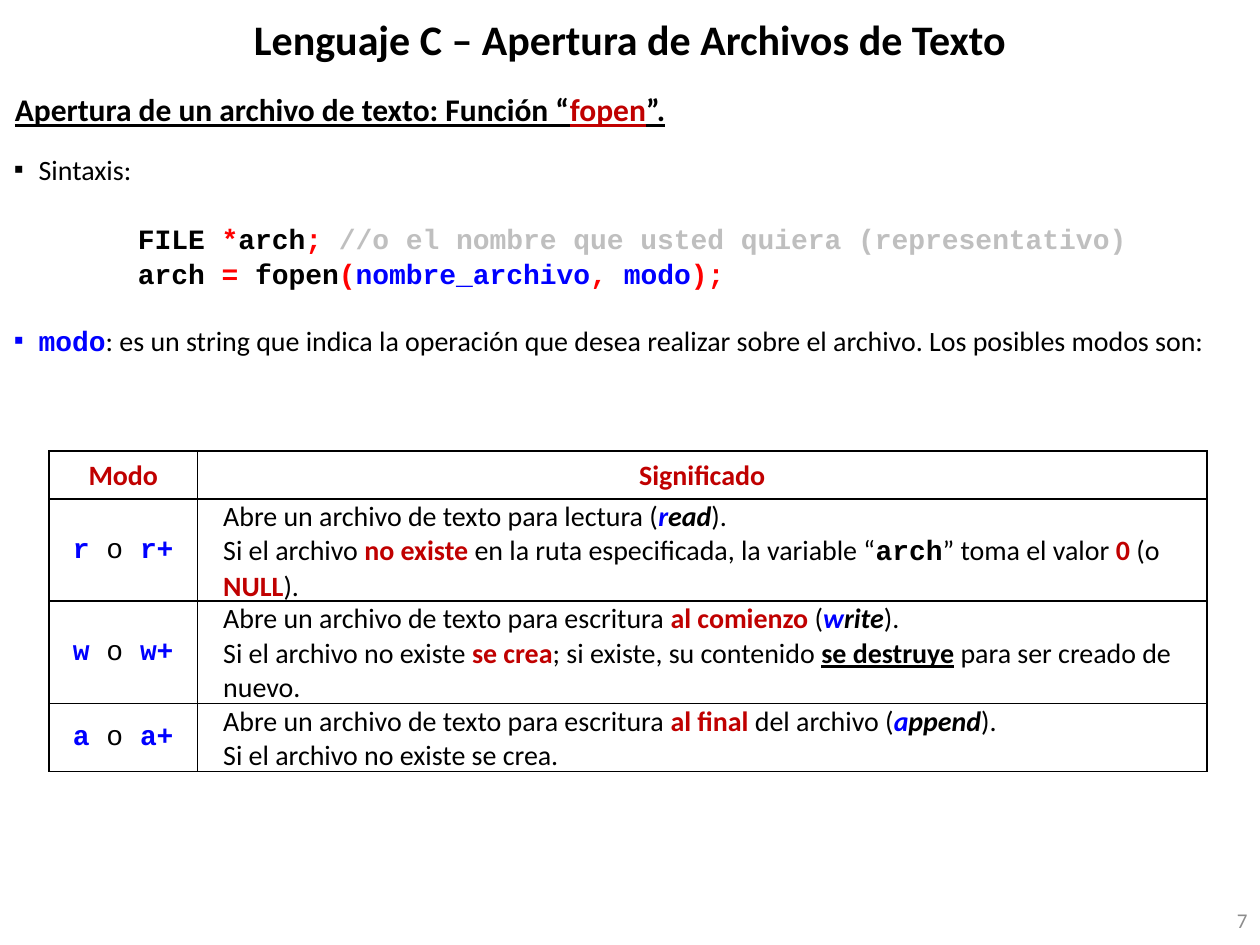
from lxml.etree import SubElement
from pptx import Presentation
from pptx.dml.color import RGBColor as RGB
from pptx.enum.text import MSO_ANCHOR as Anchor, MSO_AUTO_SIZE as AutoSize, PP_ALIGN as Align
from pptx.oxml.ns import qn
from pptx.util import Cm, Pt

THEME = {
    "font": "Calibri", "mono": "Courier New",
    "title": 24, "heading": 18, "body": 16, "number": 12,
    "black": "000000", "crimson": "C00000", "red": "FF0000",
    "blue": "0000FF", "silver": "BFBFBF", "gray": "8C8C8C",
}
MONO = {"font": "mono", "bold": True}
STYLES = {
    "plain": {},
    "key": {"color": "crimson", "bold": True},
    "initial": {"color": "blue", "bold": True, "italic": True},
    "rest": {"bold": True, "italic": True},
    "underlined": {"bold": True, "underline": True},
    "code": MONO,
    "operator": {**MONO, "color": "red"},
    "comment": {**MONO, "color": "silver"},
    "argument": {**MONO, "color": "blue"},
    "or": {"font": "mono"},
    "title": {"size": "title", "bold": True},
    "heading": {"size": "heading", "bold": True, "underline": True},
    "function": {"size": "heading", "bold": True, "underline": True, "color": "crimson"},
    "number": {"size": "number", "color": "gray"},
}

TITLE = [("Lenguaje C – Apertura de Archivos de Texto", "title")]
HEADING = [("Apertura de un archivo de texto: Función “", "heading"),
           ("fopen", "function"), ("”.", "heading")]
BULLET = {"align": Align.JUSTIFY, "indent": 0.5, "bullet": "▪"}
CODE = {"indent": 2.5}
SYNTAX = [
    ([("Sintaxis:", "plain")], BULLET),
    ([("FILE ", "code"), ("*", "operator"), ("arch", "code"), ("; ", "operator"),
      ("//o el nombre que usted quiera (representativo)", "comment")], {**CODE, "before": 20}),
    ([("arch ", "code"), ("= ", "operator"), ("fopen", "code"), ("(", "operator"),
      ("nombre_archivo", "argument"), (", ", "operator"), ("modo", "argument"),
      (");", "operator")], {**CODE, "before": 1}),
    ([("modo", "argument"),
      (": es un string que indica la operación que desea realizar sobre el archivo. "
       "Los posibles modos son:", "plain")], {**BULLET, "before": 19}),
]
HEADERS = ["Modo", "Significado"]
MODES = [
    ("r", [
        [("Abre un archivo de texto para lectura (", "plain"), ("r", "initial"),
         ("ead", "rest"), (").", "plain")],
        [("Si el archivo ", "plain"), ("no existe", "key"),
         (" en la ruta especificada, la variable “", "plain"), ("arch", "code"),
         ("” toma el valor ", "plain"), ("0", "key"), (" (o ", "plain"),
         ("NULL", "key"), (").", "plain")],
    ]),
    ("w", [
        [("Abre un archivo de texto para escritura ", "plain"), ("al comienzo", "key"),
         (" (", "plain"), ("w", "initial"), ("rite", "rest"), (").", "plain")],
        [("Si el archivo no existe ", "plain"), ("se crea", "key"),
         ("; si existe, su contenido ", "plain"), ("se destruye", "underlined"),
         (" para ser creado de nuevo.", "plain")],
    ]),
    ("a", [
        [("Abre un archivo de texto para escritura ", "plain"), ("al final", "key"),
         (" del archivo (", "plain"), ("a", "initial"), ("ppend", "rest"), (").", "plain")],
        [("Si el archivo no existe se crea.", "plain")],
    ]),
]
COLUMNS = [2.99, 20.35]
ROWS = [0.97, 2.06, 2.06, 1.37]


def add_run(p, text, font="font", size="body", color="black",
            bold=False, italic=False, underline=False):
    r = p.add_run()
    r.text = text
    f = r.font
    f.name, f.size = THEME[font], Pt(THEME[size])
    f.bold, f.italic, f.underline = bold, italic, underline
    f.color.rgb = RGB.from_string(THEME[color])


def format_paragraph(p, align=Align.LEFT, indent=0, bullet=None, before=0, after=0):
    p.alignment = align
    p.space_before, p.space_after = Pt(before), Pt(after)
    pPr = p._p.get_or_add_pPr()
    pPr.set("marL", str(Cm(indent)))
    pPr.set("indent", str(-Cm(indent) if bullet else 0))
    if bullet:
        SubElement(pPr, qn("a:buFont"), typeface="Arial")
        SubElement(pPr, qn("a:buChar"), char=bullet)


def write(tf, paragraphs):
    for i, (runs, layout) in enumerate(paragraphs):
        p = tf.add_paragraph() if i else tf.paragraphs[0]
        format_paragraph(p, **layout)
        for text, style in runs:
            add_run(p, text, **STYLES[style])


def add_text(s, box, paragraphs, anchor=Anchor.TOP, grow=True):
    tf = s.shapes.add_textbox(*map(Cm, box)).text_frame
    tf.word_wrap = True
    tf.vertical_anchor = anchor
    tf.auto_size = AutoSize.SHAPE_TO_FIT_TEXT if grow else AutoSize.NONE
    write(tf, paragraphs)


def fill_cell(cell, paragraphs):
    cell.vertical_anchor = Anchor.MIDDLE
    cell.margin_left = cell.margin_right = cell.margin_top = Cm(0.02)
    cell.margin_bottom = 0
    tcPr = cell._tc.get_or_add_tcPr()
    for side in ("lnL", "lnR", "lnT", "lnB"):
        ln = SubElement(tcPr, qn(f"a:{side}"), w=str(Pt(1)))
        SubElement(SubElement(ln, qn("a:solidFill")), qn("a:srgbClr"), val=THEME["black"])
    cell.fill.background()
    write(cell.text_frame, paragraphs)


def add_modes(s, left, top):
    center = {"align": Align.CENTER}
    table = s.shapes.add_table(len(ROWS), len(COLUMNS), Cm(left), Cm(top),
                               Cm(sum(COLUMNS)), Cm(sum(ROWS))).table
    table.first_row = table.horz_banding = False
    for column, width in zip(table.columns, COLUMNS):
        column.width = Cm(width)
    for row, height in zip(table.rows, ROWS):
        row.height = Cm(height)
    for i, header in enumerate(HEADERS):
        fill_cell(table.cell(0, i), [([(header, "key")], center)])
    for i, (mode, meaning) in enumerate(MODES, 1):
        label = [(mode, "argument"), (" o ", "or"), (mode + "+", "argument")]
        fill_cell(table.cell(i, 0), [(label, center)])
        fill_cell(table.cell(i, 1), [(runs, {"indent": 0.5}) for runs in meaning])


def main():
    prs = Presentation()
    prs.slide_width, prs.slide_height = Cm(25.4), Cm(19.05)
    s = prs.slides.add_slide(prs.slide_layouts[5])
    title = s.shapes.title
    title.left, title.top, title.width, title.height = map(Cm, (1.27, 0, 22.86, 1.57))
    title.text_frame.vertical_anchor = Anchor.MIDDLE
    write(title.text_frame, [(TITLE, {"align": Align.CENTER})])
    add_text(s, (0.05, 1.7, 17.93, 1.02), [(HEADING, {"after": 6})])
    add_text(s, (0.03, 2.95, 25.37, 4.37), SYNTAX)
    add_modes(s, 0.99, 9.09)
    add_text(s, (19.48, 18.03, 5.92, 1.02), [([("7", "number")], {"align": Align.RIGHT})],
             anchor=Anchor.MIDDLE, grow=False)
    prs.save("out.pptx")


if __name__ == "__main__":
    main()
